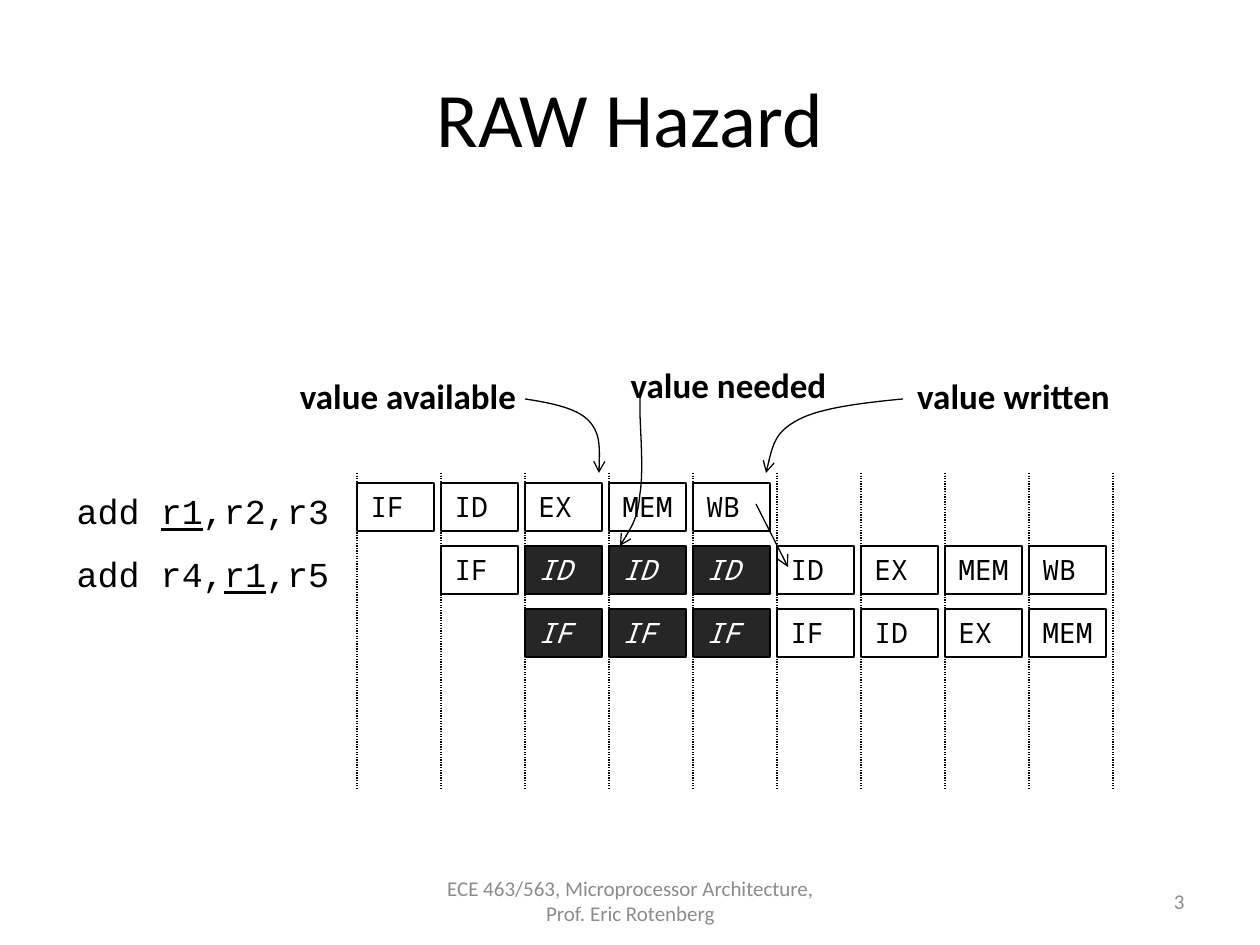
from lxml.etree import SubElement
from pptx import Presentation
from pptx.dml.color import RGBColor
from pptx.enum.dml import MSO_LINE
from pptx.enum.shapes import MSO_CONNECTOR, MSO_SHAPE
from pptx.enum.text import MSO_ANCHOR, PP_ALIGN
from pptx.oxml.ns import qn
from pptx.util import Pt

SCALE = 914400 / 126  # EMU in one px
BLACK = RGBColor(0x00, 0x00, 0x00)
WHITE = RGBColor(0xFF, 0xFF, 0xFF)
DARK = RGBColor(0x26, 0x26, 0x26)
GREY = RGBColor(0x8C, 0x8C, 0x8C)
SANS, CODE, MONO = "Calibri", "Courier New", "Noto Sans Mono"
CENTER, RIGHT = PP_ALIGN.CENTER, PP_ALIGN.RIGHT
TOP, MIDDLE = MSO_ANCHOR.TOP, MSO_ANCHOR.MIDDLE
STRAIGHT, RECT = MSO_CONNECTOR.STRAIGHT, MSO_SHAPE.RECTANGLE
DOTS = MSO_LINE.ROUND_DOT


def emu(*sizes):
    return [round(size * SCALE) for size in sizes]


class Board:
    def __init__(self, slide):
        self.slide = slide
        self.shapes = slide.shapes

    def letter(self, shape, text, size, font, color=BLACK, align=CENTER,
               anchor=TOP, wrap=False, bold=None, italic=None):
        """Fill in one paragraph; parts between underscores are underlined."""
        frame = shape.text_frame
        frame.word_wrap = wrap
        frame.vertical_anchor = anchor
        para = frame.paragraphs[0]
        para.alignment = align
        para.font.size, para.font.name = Pt(size), font
        para.font.color.rgb = color
        para.font.bold, para.font.italic = bold, italic
        for i, part in enumerate(text.split("_")):
            run = para.add_run()
            run.text = part
            if i % 2:
                run.font.underline = True

    def title(self, text, *box):
        shape = self.shapes.title
        shape.left, shape.top, shape.width, shape.height = emu(*box)
        self.letter(shape, text, 44, SANS, anchor=MIDDLE, wrap=True)

    def label(self, text, box, size=20, font=SANS, **style):
        self.letter(self.shapes.add_textbox(*emu(*box)), text, size, font, **style)

    def stroke(self, shape, arrow=False):
        shape.line.color.rgb = BLACK
        shape.line.width = Pt(0.75)
        if arrow:
            SubElement(shape.element.spPr.find(qn("a:ln")),
                       qn("a:tailEnd"), type="arrow")

    def cell(self, text, box, stall):
        shape = self.shapes.add_shape(RECT, *emu(*box))
        shape.shadow.inherit = False
        if stall:
            shape.fill.solid()
            shape.fill.fore_color.rgb = DARK
        else:
            shape.fill.background()
        self.stroke(shape)
        # Codes are padded to three letters so that all start alike
        self.letter(shape, f"{text:3}", 16, MONO, WHITE if stall else BLACK,
                    italic=stall)

    def line(self, *ends, dash=None, arrow=False):
        shape = self.shapes.add_connector(STRAIGHT, *emu(*ends))
        if dash:
            shape.line.dash_style = dash
        self.stroke(shape, arrow)
        SubElement(shape.element.spPr, qn("a:effectLst"))

    def curve(self, start, *points):
        """Draw an arrow of cubic curves, three points to each."""
        pen = self.shapes.build_freeform(*start, scale=SCALE)
        pen.add_line_segments(points, close=False)
        shape = pen.convert_to_shape()
        track = shape.element.spPr.find(".//" + qn("a:path"))
        steps = track.findall(qn("a:lnTo"))
        for i in range(0, len(steps), 3):
            bend = SubElement(track, qn("a:cubicBezTo"))
            for step in steps[i:i + 3]:
                bend.append(step[0])
                track.remove(step)
        shape.shadow.inherit = False
        shape.fill.background()
        self.stroke(shape, arrow=True)


LEFT, HEAD = 357, 483  # first cell
COL, ROW = 84, 63      # grid pitch
STALLS = range(2, 5)   # cycles in which the later instructions wait
CODES = ["add _r1_,r2,r3", "add r4,_r1_,r5"]
STAGES = [
    "IF ID EX MEM WB",
    "IF ID ID ID ID EX MEM WB",
    "IF IF IF IF ID EX MEM",
]
NOTES = [
    ("value available", (284, 368, 248, 54),
     [(525, 399), (551, 403), (576, 408), (588, 420),
      (600, 432), (600, 452), (599, 473)]),
    ("value needed", (617, 357, 223, 55),
     [(640, 399), (640, 397), (640, 393), (640, 410), (640, 426),
      (644, 471), (640, 494), (638, 517), (629, 532), (620, 546)]),
    ("value written", (902, 368, 223, 54),
     [(903, 399), (862, 403), (820, 408), (798, 420),
      (775, 432), (771, 452), (766, 473)]),
]


def main():
    deck = Presentation()
    deck.slide_width, deck.slide_height = emu(1260, 945)
    board = Board(deck.slides.add_slide(deck.slide_layouts[5]))

    # Title and footer
    board.title("RAW Hazard", 63, 38, 1134, 158)
    foot = {"size": 12, "color": GREY, "anchor": MIDDLE, "wrap": True}
    board.label("ECE 463/563, Microprocessor Architecture, Prof. Eric Rotenberg",
                (431, 876, 399, 50), **foot)
    board.label("3", (903, 876, 294, 50), align=RIGHT, **foot)

    # Cycle borders
    for i in range(10):
        x = LEFT + i * COL
        board.line(x, 473, x, 788, dash=DOTS)

    # Instructions and their stages, each one cycle later
    for row, code in enumerate(CODES):
        board.label(code, (63, HEAD + row * ROW, 280, 55), font=CODE)
    for row, names in enumerate(STAGES):
        for col, name in enumerate(names.split(), row):
            box = (LEFT + col * COL, HEAD + row * ROW, 77, 48)
            board.cell(name, box, row > 0 and col in STALLS)

    # Notes with their arrows
    board.line(756, 504, 788, 567, arrow=True)
    for text, box, points in NOTES:
        board.label(text, box, bold=True)
        board.curve(*points)

    deck.save("out.pptx")


if __name__ == "__main__":
    main()
